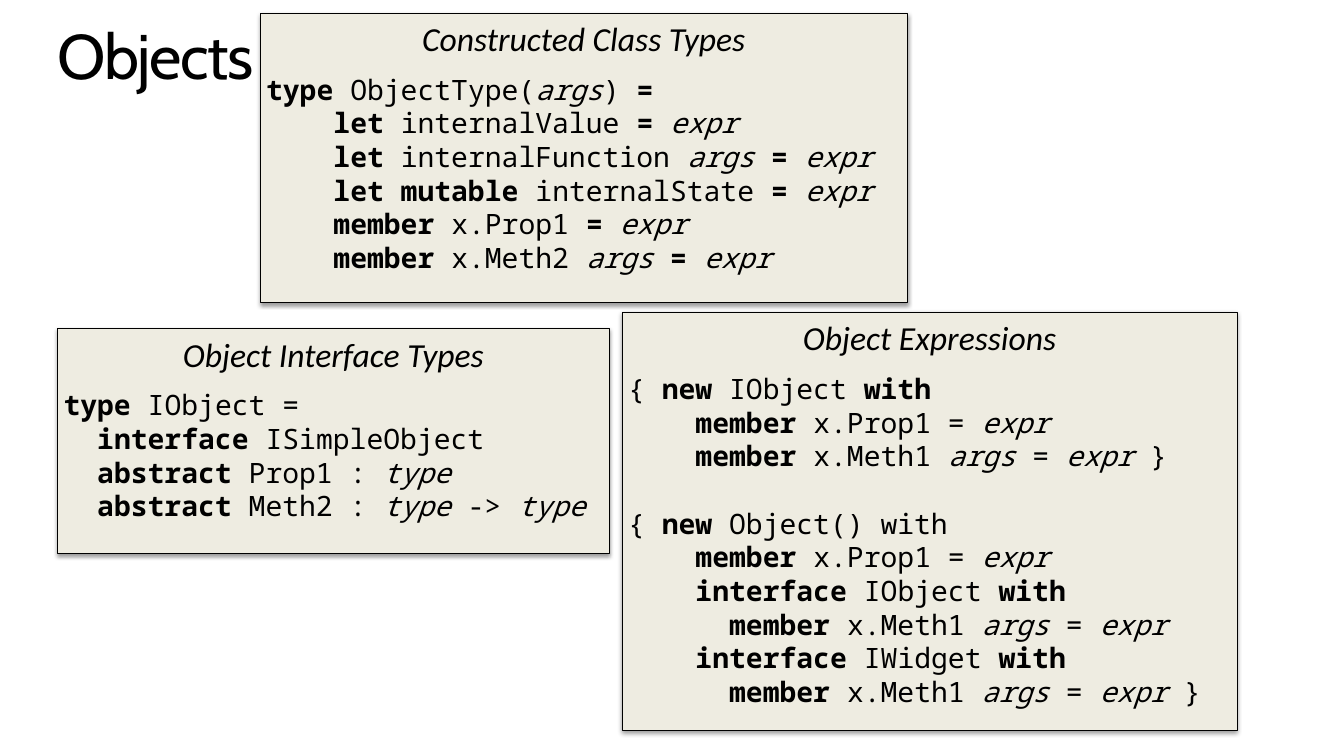
"""Build the Objects slide: three panels of typed code, each under a heading."""
from lxml.etree import SubElement
from pptx import Presentation
from pptx.dml.color import RGBColor
from pptx.enum.shapes import MSO_SHAPE
from pptx.enum.text import MSO_ANCHOR, PP_ALIGN
from pptx.oxml.ns import qn
from pptx.util import Inches, Pt

TITLE = "Objects"
TITLE_AREA = (4.28, 3.33, 91.52, 9.07)

# In code lines, *stars* mark bold and _underscores_ mark italics.
PANELS = [
    {
        "heading": "Object Interface Types",
        "area": (4.28, 43.47, 41.04, 29.73),
        "blocks": [[
            "*type *IObject =",
            "  *interface *ISimpleObject",
            "  *abstract* Prop1 : _type_",
            "  *abstract* Meth2 : _type_ -> _type_",
        ]],
    },
    {
        "heading": "Object Expressions",
        "area": (46.29, 41.33, 45.76, 55.33),
        "blocks": [[
            "{ *new *IObject *with*",
            "    *member* x.Prop1 = _expr_",
            "    *member* x.Meth1 _args_ = _expr_ }",
        ], [
            "{ *new* Object() with",
            "    *member* x.Prop1 = _expr_",
            "    *interface *IObject *with*",
            "      *member* x.Meth1 _args_ = _expr_",
            "    *interface *IWidget *with*",
            "      *member* x.Meth1 _args_ = _expr_ }",
        ]],
    },
    {
        "heading": "Constructed Class Types",
        "area": (19.35, 1.73, 48.16, 38.27),
        "blocks": [[
            "*type *ObjectType(_args_) *=*",
            "    *let *internalValue *= *_expr_",
            "    *let *internalFunction _args _*= *_expr_",
            "    *let mutable *internalState *= *_expr_",
            "    *member* x.Prop1 *= *_expr_",
            "    *member* x.Meth2 _args _*= *_expr_",
        ]],
    },
]

BLACK = RGBColor(0x00, 0x00, 0x00)
CREAM = RGBColor(0xEE, 0xEC, 0xE1)

TITLE_FONT = {"name": "Cabin", "size": Pt(45)}
HEADING_FONT = {"name": "Calibri", "size": Pt(24), "italic": True}
CODE_FONT = {"name": "Noto Sans Mono", "size": Pt(20)}
TITLE_FRAME = {"word_wrap": True, "vertical_anchor": MSO_ANCHOR.TOP,
               "margin_left": 0, "margin_right": 0,
               "margin_top": 0, "margin_bottom": 0}
PANEL_FRAME = {"word_wrap": True, "vertical_anchor": MSO_ANCHOR.TOP,
               "margin_left": Inches(0.06), "margin_right": Inches(0.06),
               "margin_top": Inches(0.05), "margin_bottom": Inches(0.05)}
HEADING_LAYOUT = {"alignment": PP_ALIGN.CENTER, "space_after": Pt(10)}
BLOCK_GAP = Pt(24)
SHADOW = {"blurRad": Pt(3.1), "dist": Pt(1.6), "dir": 90 * 60000,
          "algn": "ctr", "rotWithShape": 0}
SHADOW_ALPHA = 38000


def apply(target, values):
    for key, value in values.items():
        setattr(target, key, value)


def place(area, deck):
    sides = (deck.slide_width, deck.slide_height) * 2
    return [round(side * percent / 100) for side, percent in zip(sides, area)]


def add_run(paragraph, text, font):
    run = paragraph.add_run()
    run.text = text
    apply(run.font, font)
    run.font.color.rgb = BLACK
    return run


def add_code(paragraph, line):
    for bold_index, stretch in enumerate(line.split("*")):
        for italic_index, text in enumerate(stretch.split("_")):
            if text:
                style = {"bold": bold_index % 2 == 1, "italic": italic_index % 2 == 1}
                add_run(paragraph, text, CODE_FONT | style)


def cast_shadow(panel):
    panel.shadow.inherit = False
    effects = panel._element.spPr.find(qn("a:effectLst"))
    outer = SubElement(effects, qn("a:outerShdw"),
                       {key: str(value) for key, value in SHADOW.items()})
    tint = SubElement(outer, qn("a:srgbClr"), val=str(BLACK))
    SubElement(tint, qn("a:alpha"), val=str(SHADOW_ALPHA))


def add_title(slide, deck):
    frame = slide.shapes.add_textbox(*place(TITLE_AREA, deck)).text_frame
    apply(frame, TITLE_FRAME)
    paragraph = frame.paragraphs[0]
    paragraph.line_spacing = 0.9
    run = add_run(paragraph, TITLE, TITLE_FONT)
    run.font._element.set("spc", "-100")


def add_panel(slide, deck, content):
    panel = slide.shapes.add_shape(MSO_SHAPE.RECTANGLE, *place(content["area"], deck))
    panel.fill.solid()
    panel.fill.fore_color.rgb = CREAM
    panel.line.color.rgb = BLACK
    panel.line.width = Pt(0.75)
    cast_shadow(panel)

    frame = panel.text_frame
    apply(frame, PANEL_FRAME)
    heading = frame.paragraphs[0]
    apply(heading, HEADING_LAYOUT)
    add_run(heading, content["heading"], HEADING_FONT)
    for block_index, block in enumerate(content["blocks"]):
        for line_index, line in enumerate(block):
            paragraph = frame.add_paragraph()
            paragraph.alignment = PP_ALIGN.LEFT
            if block_index and not line_index:
                paragraph.space_before = BLOCK_GAP
            add_code(paragraph, line)


def main():
    deck = Presentation()
    deck.slide_width, deck.slide_height = Inches(13.33), Inches(7.5)
    slide = deck.slides.add_slide(deck.slide_layouts[6])
    add_title(slide, deck)
    for content in PANELS:
        add_panel(slide, deck, content)
    deck.save("out.pptx")


if __name__ == "__main__":
    main()
